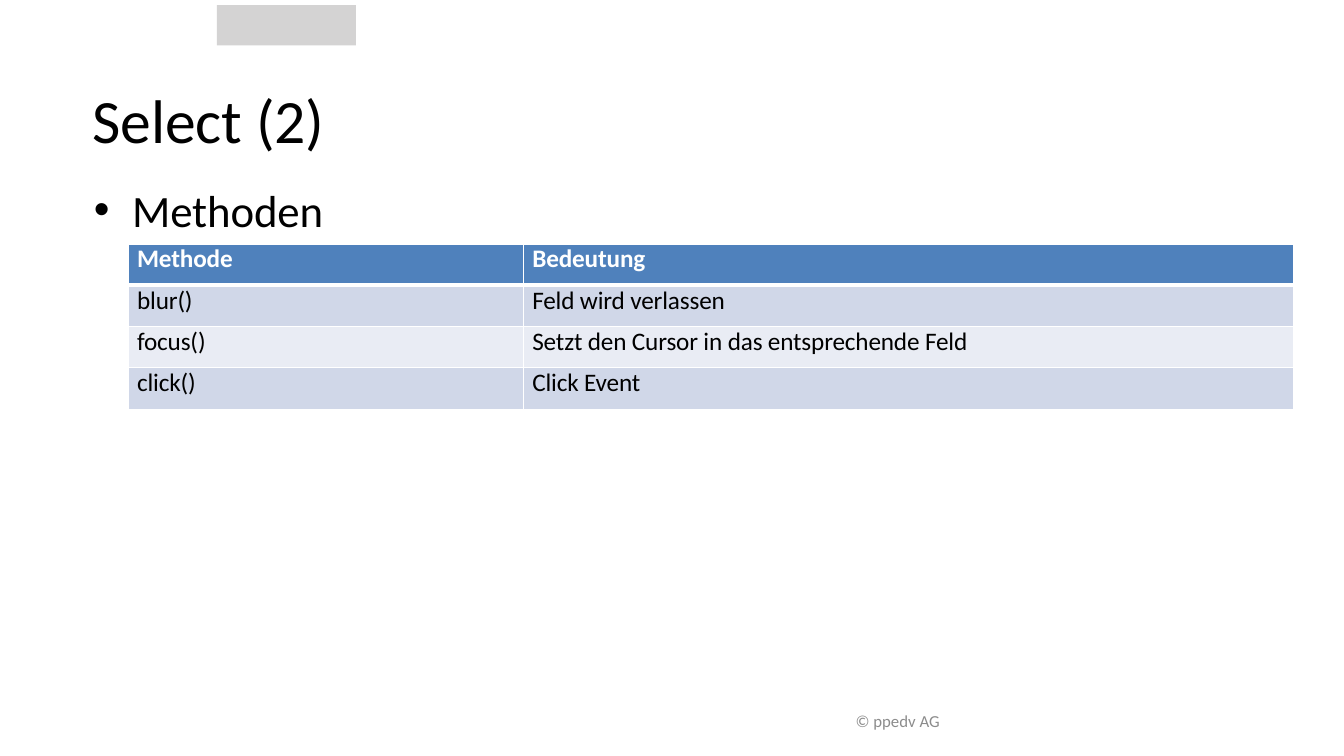
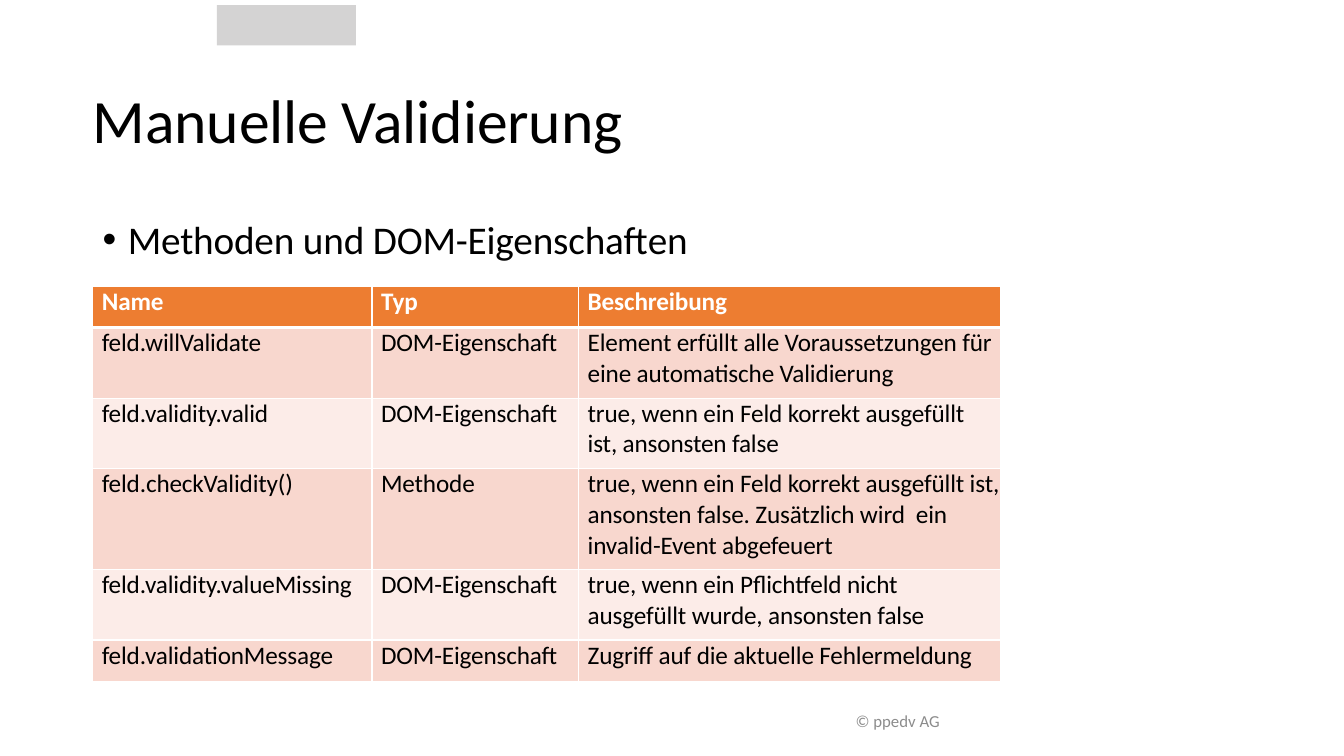
"""Build two slides on form methods and manual validation."""
from lxml.etree import SubElement
from pptx import Presentation
from pptx.dml.color import RGBColor
from pptx.enum.shapes import MSO_SHAPE
from pptx.enum.text import MSO_ANCHOR, MSO_AUTO_SIZE, PP_ALIGN
from pptx.oxml.ns import qn
from pptx.util import Inches, Pt

FONT = "Calibri"
BLACK, WHITE, GREY, BAND = "000000", "FFFFFF", "8C8C8C", "D4D3D3"
LEFT, CONTENT_WIDTH = 0.92, 11.5
CELL_INDENT = 0.09
COPYRIGHT = "© ppedv AG"
PROPERTY = "DOM-Eigenschaft"

SLIDES = [
    {
        "title": "Select (2)",
        "bullet": {"text": "Methoden", "size": 32, "box": (LEFT, 1.81, 2.31, 0.57),
                   "inset": (0, 0), "indent": (0.39, -0.38), "leading": 1.0},
        "table": {
            "origin": (1.27, 2.42), "columns": (3.92, 7.64), "heights": (0.41,) * 4,
            "head": "4F81BC", "bands": ("D0D7E8", "E9ECF4"),
            "rows": [
                ("Methode", "Bedeutung"),
                ("blur()", "Feld wird verlassen"),
                ("focus()", "Setzt den Cursor in das entsprechende Feld"),
                ("click()", "Click Event"),
            ],
        },
    },
    {
        "title": "Manuelle Validierung",
        "bullet": {"text": "Methoden und DOM-Eigenschaften", "size": 28,
                   "box": (LEFT, 1.85, CONTENT_WIDTH, 4.91),
                   "inset": (0.1, 0.05), "indent": (0.25, -0.25), "leading": 1.5},
        "table": {
            "origin": (LEFT, 2.84), "columns": (2.77, 2.05, 4.18),
            "heights": (0.41, 0.7, 0.7, 1, 0.7, 0.41),
            "head": "ED7D31", "bands": ("F8D7CE", "FCECE8"),
            "rows": [
                ("Name", "Typ", "Beschreibung"),
                ("feld.willValidate", PROPERTY,
                 "Element erfüllt alle Voraussetzungen für eine automatische Validierung"),
                ("feld.validity.valid", PROPERTY,
                 "true, wenn ein Feld korrekt ausgefüllt\nist, ansonsten false"),
                ("feld.checkValidity()", "Methode",
                 "true, wenn ein Feld korrekt ausgefüllt ist, ansonsten false. "
                 "Zusätzlich wird  ein invalid-Event abgefeuert"),
                ("feld.validity.valueMissing", PROPERTY,
                 "true, wenn ein Pflichtfeld nicht\nausgefüllt wurde, ansonsten false"),
                ("feld.validationMessage", PROPERTY,
                 "Zugriff auf die aktuelle Fehlermeldung"),
            ],
        },
    },
]


def rgb(value):
    """Turn a hex string into a colour."""
    return RGBColor.from_string(value)


def inches(values):
    """Convert a sequence of inch values to lengths."""
    return [Inches(value) for value in values]


def add_run(paragraph, text, size, colour=BLACK, bold=False, spacing=-0.1):
    """Append a formatted run with letter spacing in points."""
    run = paragraph.add_run()
    run.text = text
    run.font.name, run.font.size, run.font.bold = FONT, Pt(size), bold
    run.font.color.rgb = rgb(colour)
    run._r.get_or_add_rPr().set("spc", str(round(spacing * 100)))


def set_insets(frame, across=0, down=0):
    """Set equal side insets and equal top and bottom insets."""
    frame.margin_left = frame.margin_right = Inches(across)
    frame.margin_top = frame.margin_bottom = Inches(down)


def add_textbox(slide, box):
    """Add a wrapping text box and return its frame."""
    frame = slide.shapes.add_textbox(*inches(box)).text_frame
    frame.word_wrap = True
    return frame


def add_band(slide):
    """Add the grey block at the top."""
    band = slide.shapes.add_shape(MSO_SHAPE.RECTANGLE, *inches((2.15, 0.05, 1.38, 0.4)))
    band.shadow.inherit = False
    band.fill.solid()
    band.fill.fore_color.rgb = rgb(BAND)
    band.line.fill.background()


def set_title(slide, text):
    """Place and format the title placeholder."""
    title = slide.shapes.title
    title.left, title.top, title.width, title.height = inches((LEFT, 0.5, CONTENT_WIDTH, 1.35))
    frame = title.text_frame
    frame.auto_size, frame.vertical_anchor = MSO_AUTO_SIZE.NONE, MSO_ANCHOR.MIDDLE
    set_insets(frame)
    paragraph = frame.paragraphs[0]
    paragraph.alignment = PP_ALIGN.LEFT
    add_run(paragraph, text, 44)


def add_bullet(slide, bullet):
    """Add the bulleted heading above the table."""
    frame = add_textbox(slide, bullet["box"])
    set_insets(frame, *bullet["inset"])
    paragraph = frame.paragraphs[0]
    properties = paragraph._p.get_or_add_pPr()
    for key, length in zip(("marL", "indent"), inches(bullet["indent"])):
        properties.set(key, str(length))
    SubElement(properties, qn("a:buFont")).set("typeface", "Arial")
    SubElement(properties, qn("a:buChar")).set("char", "•")
    paragraph.line_spacing = bullet["leading"]
    add_run(paragraph, bullet["text"], bullet["size"])


def set_borders(cell, top, bottom):
    """Draw white cell borders with the given top and bottom weights."""
    properties = cell._tc.get_or_add_tcPr()
    for side, weight in (("L", 1), ("R", 1), ("T", top), ("B", bottom)):
        border = SubElement(properties, qn(f"a:ln{side}"), w=str(Pt(weight)))
        fill = SubElement(border, qn("a:solidFill"))
        SubElement(fill, qn("a:srgbClr"), val=WHITE)


def add_grid(slide, content):
    """Add the table with a coloured head and alternating rows."""
    rows, columns, heights = content["rows"], content["columns"], content["heights"]
    extent = (*content["origin"], sum(columns), sum(heights))
    table = slide.shapes.add_table(len(rows), len(columns), *inches(extent)).table
    for column, width in zip(table.columns, columns):
        column.width = Inches(width)
    for index, (row, height, texts) in enumerate(zip(table.rows, heights, rows)):
        row.height = Inches(height)
        is_head = index == 0
        shade = content["head"] if is_head else content["bands"][(index - 1) % 2]
        for cell, text in zip(row.cells, texts):
            set_insets(cell)
            cell.margin_left = Inches(CELL_INDENT)
            set_borders(cell, 3 if index == 1 else 1, 3 if is_head else 1)
            cell.fill.solid()
            cell.fill.fore_color.rgb = rgb(shade)
            frame = cell.text_frame
            for number, line in enumerate(text.split("\n")):
                paragraph = frame.add_paragraph() if number else frame.paragraphs[0]
                add_run(paragraph, line, 18, WHITE if is_head else BLACK, is_head)


def add_footer(slide):
    """Add the right-aligned copyright line."""
    frame = add_textbox(slide, (LEFT, 6.95, 8.5, 0.4))
    frame.vertical_anchor = MSO_ANCHOR.MIDDLE
    frame.paragraphs[0].alignment = PP_ALIGN.RIGHT
    add_run(frame.paragraphs[0], COPYRIGHT, 12, GREY, spacing=0)


def main():
    """Build and save the presentation."""
    deck = Presentation()
    deck.slide_width, deck.slide_height = inches((13.33, 7.5))
    for content in SLIDES:
        slide = deck.slides.add_slide(deck.slide_layouts[5])
        add_band(slide)
        set_title(slide, content["title"])
        add_bullet(slide, content["bullet"])
        add_grid(slide, content["table"])
        add_footer(slide)
    deck.save("out.pptx")


if __name__ == "__main__":
    main()
